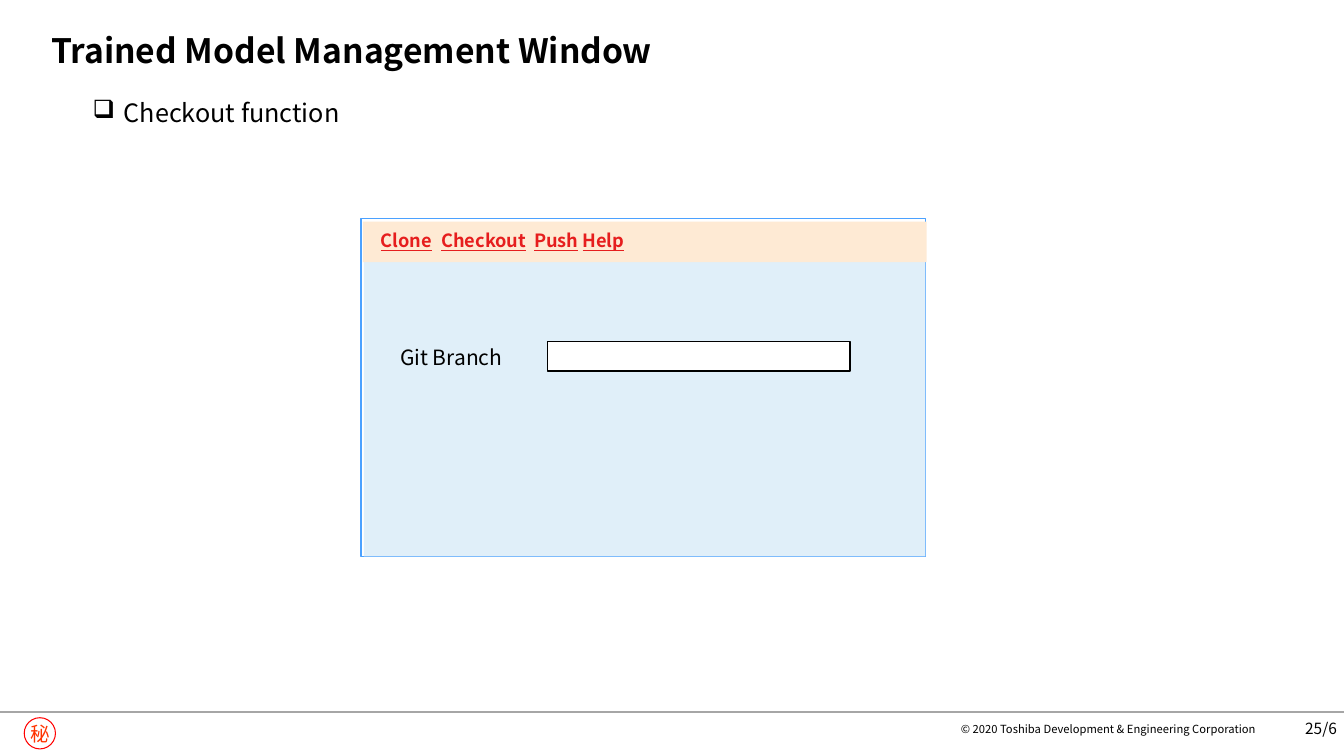
import dataclasses

import lxml.etree
import pptx
import pptx.dml.color
import pptx.enum.shapes
import pptx.enum.text
import pptx.oxml.ns
import pptx.util

ALIGN = pptx.enum.text.PP_ALIGN
ANCHOR = pptx.enum.text.MSO_ANCHOR
SHAPE = pptx.enum.shapes.MSO_SHAPE
SCALE = 9144


def px(count):
    return pptx.util.Emu(count * SCALE)


def tint(code):
    return pptx.dml.color.RGBColor.from_string(code)


def add(parent, tag, **attrs):
    return lxml.etree.SubElement(parent, pptx.oxml.ns.qn(tag), attrs)


@dataclasses.dataclass(frozen=True)
class Theme:
    font: str = "Noto Sans CJK JP"
    ink: str = "000000"
    white: str = "FFFFFF"
    rule: str = "A6A6A6"
    ring: str = "FF0000"
    seal: str = "FF3300"
    frame: str = "4BA1FF"
    pane: str = "E0EFF9"
    bar: str = "FEEAD4"
    menu: str = "E61E1E"
    title: int = 24
    point: int = 18
    label: int = 15
    item: int = 13
    stamp: int = 14
    page: int = 11
    note: int = 8


class Sheet:
    def __init__(self, slide, theme):
        self.slide = slide
        self.theme = theme

    def style(self, run, size, color=None, bold=False, line=False):
        font = run.font
        font.name = self.theme.font
        font.size = pptx.util.Pt(size)
        font.bold = bold
        font.underline = line
        font.color.rgb = tint(color or self.theme.ink)
        add(run._r.get_or_add_rPr(), "a:ea", typeface=self.theme.font)

    def fit(self, frame, inset, anchor, wrap):
        frame.margin_left, frame.margin_top, frame.margin_right, frame.margin_bottom = map(px, inset)
        frame.vertical_anchor = anchor
        frame.word_wrap = wrap

    def shape(self, kind, place, fill=None, line=None, width=1):
        shape = self.slide.shapes.add_shape(kind, *map(px, place))
        shape.shadow.inherit = False
        if fill:
            shape.fill.solid()
            shape.fill.fore_color.rgb = tint(fill)
        else:
            shape.fill.background()
        if line:
            shape.line.color.rgb = tint(line)
            shape.line.width = pptx.util.Pt(width)
        else:
            shape.line.fill.background()
        return shape

    def box(self, place, inset=(10, 5, 10, 5), anchor=ANCHOR.TOP, wrap=True):
        frame = self.slide.shapes.add_textbox(*map(px, place)).text_frame
        self.fit(frame, inset, anchor, wrap)
        return frame

    def text(self, frame, words, size, color=None, bold=False, align=ALIGN.LEFT):
        frame.text = words
        para = frame.paragraphs[0]
        para.alignment = align
        for run in para.runs:
            self.style(run, size, color, bold)
        return para

    def point(self, place, words, mark, indent):
        para = self.text(self.box(place), words, self.theme.point)
        props = para._p.get_or_add_pPr()
        props.set("marL", str(px(indent)))
        props.set("indent", str(px(-indent)))
        add(props, "a:buChar", char=mark)

    def seal(self, place, words):
        ring = self.shape(SHAPE.OVAL, place, line=self.theme.ring, width=0.75)
        self.fit(ring.text_frame, (0, 0, 0, 0), ANCHOR.MIDDLE, False)
        self.text(ring.text_frame, words, self.theme.stamp, self.theme.seal, align=ALIGN.CENTER)

    def rule(self, top, width):
        line = self.slide.shapes.add_connector(
            pptx.enum.shapes.MSO_CONNECTOR.STRAIGHT, px(0), px(top), px(width), px(top))
        line.line.color.rgb = tint(self.theme.rule)
        line.line.width = pptx.util.Pt(1.5)
        add(line._element.spPr, "a:effectLst")

    def menu(self, place, names, stops):
        para = self.box(place).paragraphs[0]
        tabs = add(para._p.get_or_add_pPr(), "a:tabLst")
        for stop in stops:
            add(tabs, "a:tab", pos=str(px(stop)), algn="l")
        for spot, name in enumerate(names):
            if spot:
                gap = para.add_run()
                gap.text = "\t"
                self.style(gap, self.theme.item, bold=True)
            run = para.add_run()
            run.text = name
            self.style(run, self.theme.item, self.theme.menu, True, True)


def main():
    deck = pptx.Presentation()
    deck.slide_width, deck.slide_height = px(1333), px(750)
    theme = Theme()
    sheet = Sheet(deck.slides.add_slide(deck.slide_layouts[6]), theme)
    flat = (0, 0, 0, 0)

    sheet.seal((24, 712, 31, 31), "秘")
    sheet.rule(706, 1333)
    page = sheet.box((1255, 703, 71, 40), flat, ANCHOR.MIDDLE)
    sheet.text(page, "25/6", theme.page, align=ALIGN.RIGHT)
    note = sheet.box((931, 717, 315, 13), flat, ANCHOR.MIDDLE, False)
    sheet.text(note, "© 2020 Toshiba Development & Engineering Corporation", theme.note, align=ALIGN.RIGHT)

    title = sheet.box((0, 0, 1251, 82), (51, 12, 47, 12), ANCHOR.BOTTOM)
    head = sheet.text(title, "Trained Model Management Window", theme.title, bold=True)
    head.line_spacing = 0.9
    sheet.point((82, 92, 334, 40), "Checkout function", "❑", 31)

    sheet.shape(SHAPE.RECTANGLE, (358, 217, 560, 335), theme.white, theme.frame)
    sheet.shape(SHAPE.RECTANGLE, (361, 258, 557, 294), theme.pane)
    sheet.text(sheet.box((387, 337, 218, 35)), "Git Branch", theme.label)
    sheet.shape(SHAPE.RECTANGLE, (543, 339, 300, 29), theme.white, theme.ink)
    sheet.shape(SHAPE.RECTANGLE, (360, 220, 559, 40), theme.bar)
    sheet.menu((368, 223, 544, 32), ("Clone", "Checkout", "Push", "Help"), (60, 152, 200))

    deck.save("out.pptx")


if __name__ == "__main__":
    main()
